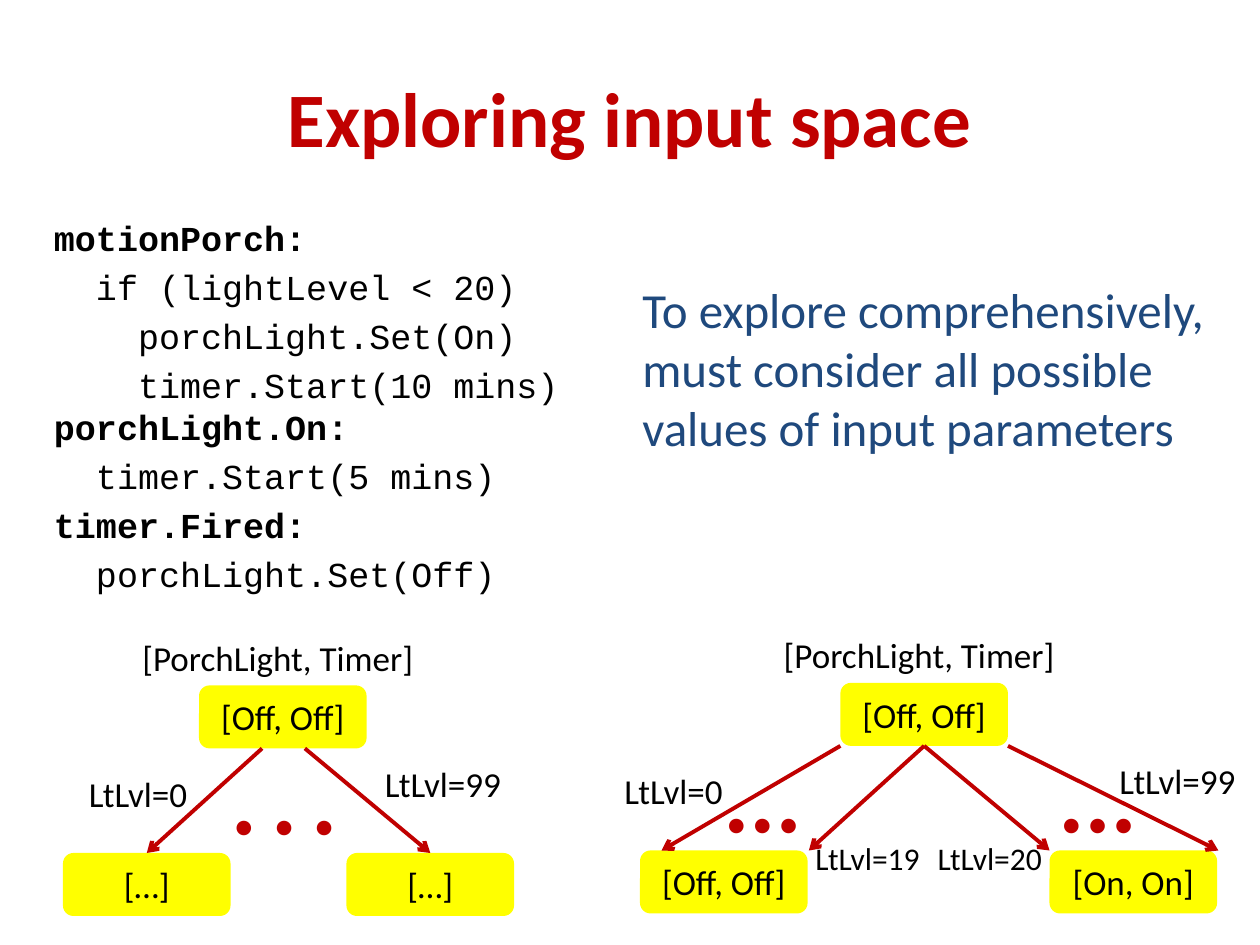
from lxml import etree
from pptx import Presentation
from pptx.dml.color import RGBColor
from pptx.enum.shapes import MSO_CONNECTOR, MSO_SHAPE
from pptx.enum.text import MSO_ANCHOR, PP_ALIGN
from pptx.oxml.ns import qn
from pptx.util import Inches, Pt

COLORS = {"red": "C00000", "black": "000000", "blue": "1F497D", "yellow": "FFFF00"}
LEFT, CENTER = PP_ALIGN.LEFT, PP_ALIGN.CENTER
TOP, MIDDLE = MSO_ANCHOR.TOP, MSO_ANCHOR.MIDDLE
ROUND_RECT, STRAIGHT = MSO_SHAPE.ROUNDED_RECTANGLE, MSO_CONNECTOR.STRAIGHT
TOP_SITE, BOTTOM_SITE = 0, 2
NODE_WIDTH, NODE_HEIGHT = 1.33, 0.5
LABEL_WIDTH, LABEL_HEIGHT = 1.19, 0.44

# Each paragraph is a list of (text, bold) lines
CODE = [
    [("motionPorch:", True)],
    [("  if (lightLevel < 20)", False)],
    [("    porchLight.Set(On)", False)],
    [("    timer.Start(10 mins)", False), ("porchLight.On:", True)],
    [("  timer.Start(5 mins)", False)],
    [("timer.Fired:", True)],
    [("  porchLight.Set(Off)", False)],
]


def style_font(font, size, color, name="Calibri", bold=False):
    font.name, font.size, font.bold = name, Pt(size), bold
    font.color.rgb = RGBColor.from_string(COLORS[color])


def write(shape, text, size=20, color="black", bold=False, align=CENTER,
          anchor=TOP, tracking=0):
    frame = shape.text_frame
    frame.word_wrap = True
    frame.vertical_anchor = anchor
    para = frame.paragraphs[0]
    para.alignment = align
    span = para.add_run()
    span.text = text
    style_font(span.font, size, color, bold=bold)
    if tracking:
        span.font._element.set("spc", str(tracking * 100))


def add_text(page, text, left, top, width=LABEL_WIDTH, height=LABEL_HEIGHT, **style):
    box = page.shapes.add_textbox(Inches(left), Inches(top), Inches(width), Inches(height))
    write(box, text, **style)


def add_code(page, left, top, width, height):
    box = page.shapes.add_textbox(Inches(left), Inches(top), Inches(width), Inches(height))
    frame = box.text_frame
    frame.word_wrap = True
    for index, lines in enumerate(CODE):
        para = frame.add_paragraph() if index else frame.paragraphs[0]
        para.line_spacing = Pt(24)
        para.space_before = Pt(4 if index else 0)
        for number, (text, bold) in enumerate(lines):
            if number:
                para.add_line_break()
            span = para.add_run()
            span.text = text
            style_font(span.font, 20, "black", name="Courier New", bold=bold)


def add_node(page, text, left, top):
    node = page.shapes.add_shape(ROUND_RECT, Inches(left), Inches(top),
                                 Inches(NODE_WIDTH), Inches(NODE_HEIGHT))
    node.shadow.inherit = False
    node.fill.solid()
    node.fill.fore_color.rgb = RGBColor.from_string(COLORS["yellow"])
    node.line.fill.background()
    write(node, text, anchor=MIDDLE)
    return node


def add_arrow(page, start, end, parent=None, child=None):
    arrow = page.shapes.add_connector(STRAIGHT, *map(Inches, start + end))
    if parent is not None:
        arrow.begin_connect(parent, BOTTOM_SITE)
    if child is not None:
        arrow.end_connect(child, TOP_SITE)
    arrow.line.color.rgb = RGBColor.from_string(COLORS["red"])
    arrow.line.width = Pt(2.25)
    etree.SubElement(arrow.line._get_or_add_ln(), qn("a:tailEnd"), type="arrow")
    etree.SubElement(arrow._element.spPr, qn("a:effectLst"))


def add_left_tree(page):
    add_text(page, "[PorchLight, Timer]", 0.58, 5, width=3.25)
    add_node(page, "[Off, Off]", 1.58, 5.44)
    for start, leaf_left in ((2.08, 0.5), (2.42, 2.75)):
        leaf = add_node(page, "[…]", leaf_left, 6.77)
        add_arrow(page, (start, 5.94), (leaf_left + NODE_WIDTH / 2, 6.77), child=leaf)
    add_text(page, "LtLvl=0", 0.5, 6.08)
    add_text(page, "LtLvl=99", 2.92, 6)
    add_text(page, "● ● ●", 1.42, 6.35, width=1.67, height=0.4,
             size=18, color="red", tracking=4)


def add_right_tree(page):
    add_text(page, "[PorchLight, Timer]", 5.67, 4.98, width=3.25)
    root = add_node(page, "[Off, Off]", 6.67, 5.42)
    add_node(page, "[Off, Off]", 5.08, 6.75)
    add_node(page, "[On, On]", 8.33, 6.75)
    # Each leaf takes one arrow from the root's middle and one from its corner
    for start, end, parent in ((6.67, 5.25, None), (7.33, 8.33, root),
                               (7.33, 6.42, root), (8, 9.67, None)):
        add_arrow(page, (start, 5.92), (end, 6.75), parent=parent)
    # Outer labels stand beside their arrows, inner ones at the arrow tips
    for text, left, top, size in (("LtLvl=0", 4.75, 6.06, 20), ("LtLvl=19", 6.29, 6.61, 18),
                                  ("LtLvl=20", 7.26, 6.61, 18), ("LtLvl=99", 8.75, 5.98, 20)):
        add_text(page, text, left, top, size=size)
    for left in (5.67, 8.33):
        add_text(page, "● ● ●", left, 6.33, width=1.67, height=0.4,
                 size=18, color="red", align=LEFT)


def main():
    deck = Presentation()
    deck.slide_width, deck.slide_height = Inches(10), Inches(7.5)
    page = deck.slides.add_slide(deck.slide_layouts[6])

    # Title, code and remark
    add_text(page, "Exploring input space", 0.5, 0.3, width=9, height=1.25,
             size=44, color="red", bold=True, anchor=MIDDLE)
    add_code(page, 0.33, 1.67, 4.25, 3.25)
    add_text(page, "To explore comprehensively, must consider all possible "
             "values of input parameters", 5, 2.17, width=4.92, height=1.58,
             size=28, color="blue", align=LEFT)

    # State trees
    add_left_tree(page)
    add_right_tree(page)
    deck.save("out.pptx")


if __name__ == "__main__":
    main()
